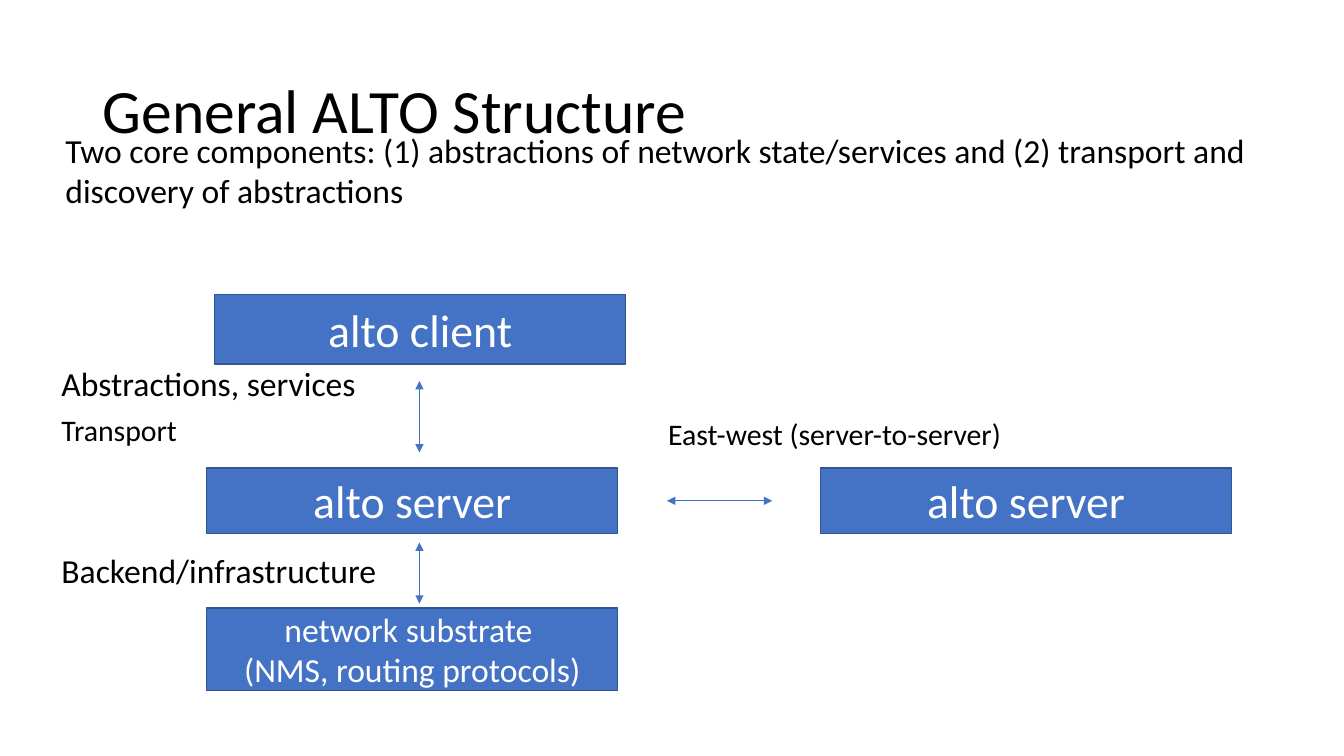
"""Build the General ALTO Structure slide."""
from lxml.etree import SubElement
from pptx import Presentation
from pptx.dml.color import RGBColor
from pptx.enum.shapes import MSO_CONNECTOR, MSO_SHAPE
from pptx.enum.text import MSO_ANCHOR, MSO_AUTO_SIZE, PP_ALIGN
from pptx.oxml.ns import qn
from pptx.util import Cm, Pt

FONT = "Calibri"
BLACK, WHITE, BLUE, EDGE = "000000", "FFFFFF", "4472C4", "325491"
WIDE = 10.36
LEFT = 1.3
AXIS = 10.57

TITLE = ("General ALTO Structure", 44, 2.34, 1.02, 29.21, 3.68)
INTRO = (
    "Two core components: (1) abstractions of network state/services "
    "and (2) transport and discovery of abstractions",
    24, 1.4, 3.15, 31.27, 2.31,
)
# text, size, left, top, height
BOXES = [
    ("alto client", 32.7, 5.41, 7.42, 1.75),
    ("alto server", 32.7, 5.21, 11.79, 1.65),
    ("alto server", 32.7, 20.68, 11.79, 1.65),
    ("network substrate \v(NMS, routing protocols)", 24, 5.21, 15.32, 2.08),
]
LABELS = [
    ("Abstractions, services", 24, LEFT, 9.02, 8, 1.27),
    ("Transport", 21.3, LEFT, 10.24, 3.45, 1.17),
    ("East-west (server-to-server)", 21.3, 16.59, 10.34, 9.02, 1.17),
    ("Backend/infrastructure", 24, LEFT, 13.74, 8.53, 1.27),
]
ARROWS = [
    (AXIS, 9.6, AXIS, 11.4),
    (AXIS, 13.67, AXIS, 15.21),
    (19.46, 12.62, 16.81, 12.62),
]


def paint(target, code):
    target.rgb = RGBColor.from_string(code)


def write(frame, text, size, code):
    frame.text = text
    para = frame.paragraphs[0]
    para.font.name = FONT
    para.font.size = Pt(size)
    paint(para.font.color, code)
    return para


def add_text(slide, text, size, *place, wrap=True):
    frame = slide.shapes.add_textbox(*map(Cm, place)).text_frame
    frame.word_wrap = wrap
    frame.auto_size = MSO_AUTO_SIZE.SHAPE_TO_FIT_TEXT
    write(frame, text, size, BLACK)
    return frame


def add_title(slide):
    frame = add_text(slide, *TITLE)
    frame.auto_size = MSO_AUTO_SIZE.NONE
    frame.vertical_anchor = MSO_ANCHOR.MIDDLE
    frame.paragraphs[0].line_spacing = 0.9


def add_box(slide, text, size, left, top, height):
    place = map(Cm, (left, top, WIDE, height))
    box = slide.shapes.add_shape(MSO_SHAPE.RECTANGLE, *place)
    box.shadow.inherit = False
    box.fill.solid()
    paint(box.fill.fore_color, BLUE)
    paint(box.line.color, EDGE)
    box.line.width = Pt(1)
    frame = box.text_frame
    frame.word_wrap = True
    frame.vertical_anchor = MSO_ANCHOR.MIDDLE
    write(frame, text, size, WHITE).alignment = PP_ALIGN.CENTER


def add_arrow(slide, *ends):
    arrow = slide.shapes.add_connector(MSO_CONNECTOR.STRAIGHT, *map(Cm, ends))
    paint(arrow.line.color, BLUE)
    arrow.line.width = Pt(0.5)
    props = arrow._element.spPr
    for tag in ("a:headEnd", "a:tailEnd"):
        SubElement(props.find(qn("a:ln")), qn(tag), type="triangle")
    SubElement(props, qn("a:effectLst"))


def main():
    deck = Presentation()
    deck.slide_width, deck.slide_height = Cm(33.87), Cm(19.05)
    slide = deck.slides.add_slide(deck.slide_layouts[6])
    add_title(slide)
    for box in BOXES:
        add_box(slide, *box)
    for ends in ARROWS:
        add_arrow(slide, *ends)
    for label in LABELS:
        add_text(slide, *label, wrap=False)
    add_text(slide, *INTRO)
    deck.save("out.pptx")


if __name__ == "__main__":
    main()
